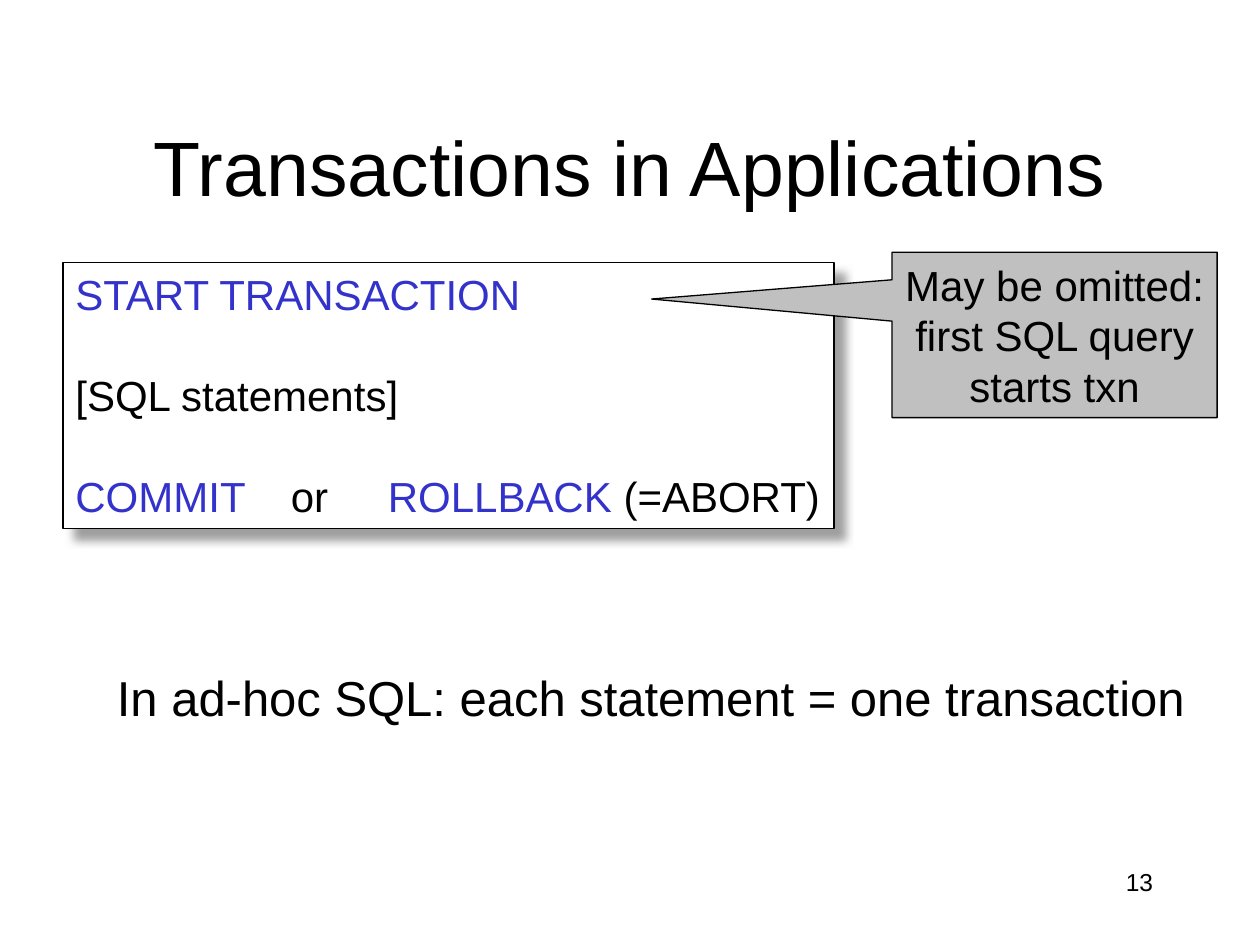
from lxml import etree
from pptx import Presentation
from pptx.dml.color import RGBColor
from pptx.enum.shapes import MSO_SHAPE
from pptx.enum.text import MSO_ANCHOR, MSO_AUTO_SIZE, PP_ALIGN
from pptx.oxml import parse_xml
from pptx.oxml.ns import nsdecls, qn
from pptx.util import Inches, Pt

RECTANGLE = MSO_SHAPE.RECTANGLE
CALLOUT = MSO_SHAPE.RECTANGULAR_CALLOUT
LEFT, CENTER, RIGHT = PP_ALIGN.LEFT, PP_ALIGN.CENTER, PP_ALIGN.RIGHT
TOP, MIDDLE = MSO_ANCHOR.TOP, MSO_ANCHOR.MIDDLE
FIT_SHAPE, NO_FIT = MSO_AUTO_SIZE.SHAPE_TO_FIT_TEXT, MSO_AUTO_SIZE.NONE
WIDTH, HEIGHT = Inches(10), Inches(7.5)
FONT = "Arial"
BLACK, WHITE, GRAY, KEYWORD = "000000", "FFFFFF", "C0C0C0", "3333CC"
CODE_SIZE = 24


def color(value):
    return RGBColor.from_string(value)


def area(left, top, width, height):
    return (round(WIDTH * left), round(HEIGHT * top),
            round(WIDTH * width), round(HEIGHT * height))


def place(shape, box):
    shape.left, shape.top, shape.width, shape.height = box


def prepare(frame, wrap=False, anchor=TOP, fit=FIT_SHAPE):
    frame.word_wrap = wrap
    frame.auto_size = fit
    frame.vertical_anchor = anchor


def add_run(paragraph, text, size, value=BLACK):
    run = paragraph.add_run()
    run.text = text
    run.font.name = FONT
    run.font.size = Pt(size)
    run.font.color.rgb = color(value)


def write_line(paragraph, text, size, align=LEFT):
    paragraph.alignment = align
    add_run(paragraph, text, size)


def add_text(slide, box, text, size, align=LEFT, wrap=False, fit=FIT_SHAPE):
    shape = slide.shapes.add_textbox(*box)
    prepare(shape.text_frame, wrap, fit=fit)
    write_line(shape.text_frame.paragraphs[0], text, size, align)


def add_panel(slide, preset, box, fill, anchor):
    shape = slide.shapes.add_shape(preset, *box)
    shape.shadow.inherit = False
    shape.fill.solid()
    shape.fill.fore_color.rgb = color(fill)
    shape.line.color.rgb = color(BLACK)
    shape.line.width = Pt(0.75)
    prepare(shape.text_frame, anchor=anchor)
    return shape


def cast_shadow(shape, value, opacity, blur, distance, angle):
    effects = shape.element.spPr.find(qn("a:effectLst"))
    effects.append(parse_xml(
        f'<a:outerShdw {nsdecls("a")} blurRad="{Pt(blur)}" dist="{Pt(distance)}" '
        f'dir="{angle * 60000}" algn="tl" rotWithShape="0">'
        f'<a:srgbClr val="{value}"><a:alpha val="{opacity * 1000}"/></a:srgbClr>'
        '</a:outerShdw>'))


def set_tabs(paragraph, stops):
    properties = paragraph._p.get_or_add_pPr()
    tabs = etree.SubElement(properties, qn("a:tabLst"))
    for stop in stops:
        etree.SubElement(tabs, qn("a:tab"), pos=str(Inches(stop)), algn="l")


def add_code(slide, box, lines, gap, tabs):
    panel = add_panel(slide, RECTANGLE, box, WHITE, TOP)
    cast_shadow(panel, "808080", 75, 5, 8.5, 45)
    frame = panel.text_frame
    for index, parts in enumerate(lines):
        paragraph = frame.add_paragraph() if index else frame.paragraphs[0]
        paragraph.alignment = LEFT
        paragraph.space_before = Pt(gap if index else 0)
        for text, value in parts:
            add_run(paragraph, text, CODE_SIZE, value)
    set_tabs(paragraph, tabs)


def add_callout(slide, box, lines, pointer):
    callout = add_panel(slide, CALLOUT, box, GRAY, MIDDLE)
    callout.adjustments[0], callout.adjustments[1] = pointer
    paragraph = callout.text_frame.paragraphs[0]
    paragraph.alignment = CENTER
    for index, line in enumerate(lines):
        if index:
            paragraph.add_line_break()
        add_run(paragraph, line, CODE_SIZE)


def add_title(slide, box, text):
    title = slide.shapes.title
    place(title, box)
    prepare(title.text_frame, True, MIDDLE, NO_FIT)
    write_line(title.text_frame.paragraphs[0], text, 44, CENTER)


def main():
    presentation = Presentation()
    presentation.slide_width, presentation.slide_height = WIDTH, HEIGHT
    slide = presentation.slides.add_slide(presentation.slide_layouts[5])
    add_title(slide, area(0.075, 0.09, 0.85, 0.17), "Transactions in Applications")
    add_text(slide, area(0.717, 0.911, 0.208, 0.067), "13", 14, RIGHT, True, NO_FIT)
    add_code(slide, area(0.05, 0.278, 0.612, 0.281), [
        [("START TRANSACTION", KEYWORD)],
        [("[SQL statements]", BLACK)],
        [("COMMIT\t", KEYWORD), ("or\t", BLACK),
         ("ROLLBACK ", KEYWORD), ("(=ABORT)", BLACK)],
    ], 28.8, (1.71, 2.48))
    add_callout(slide, area(0.708, 0.267, 0.258, 0.175),
                ["May be omitted:", "first SQL query", "starts txn"], (-1.24, -0.217))
    add_text(slide, area(0.083, 0.7, 0.87, 0.076),
             "In ad-hoc SQL: each statement = one transaction", 28)
    presentation.save("out.pptx")


main()
